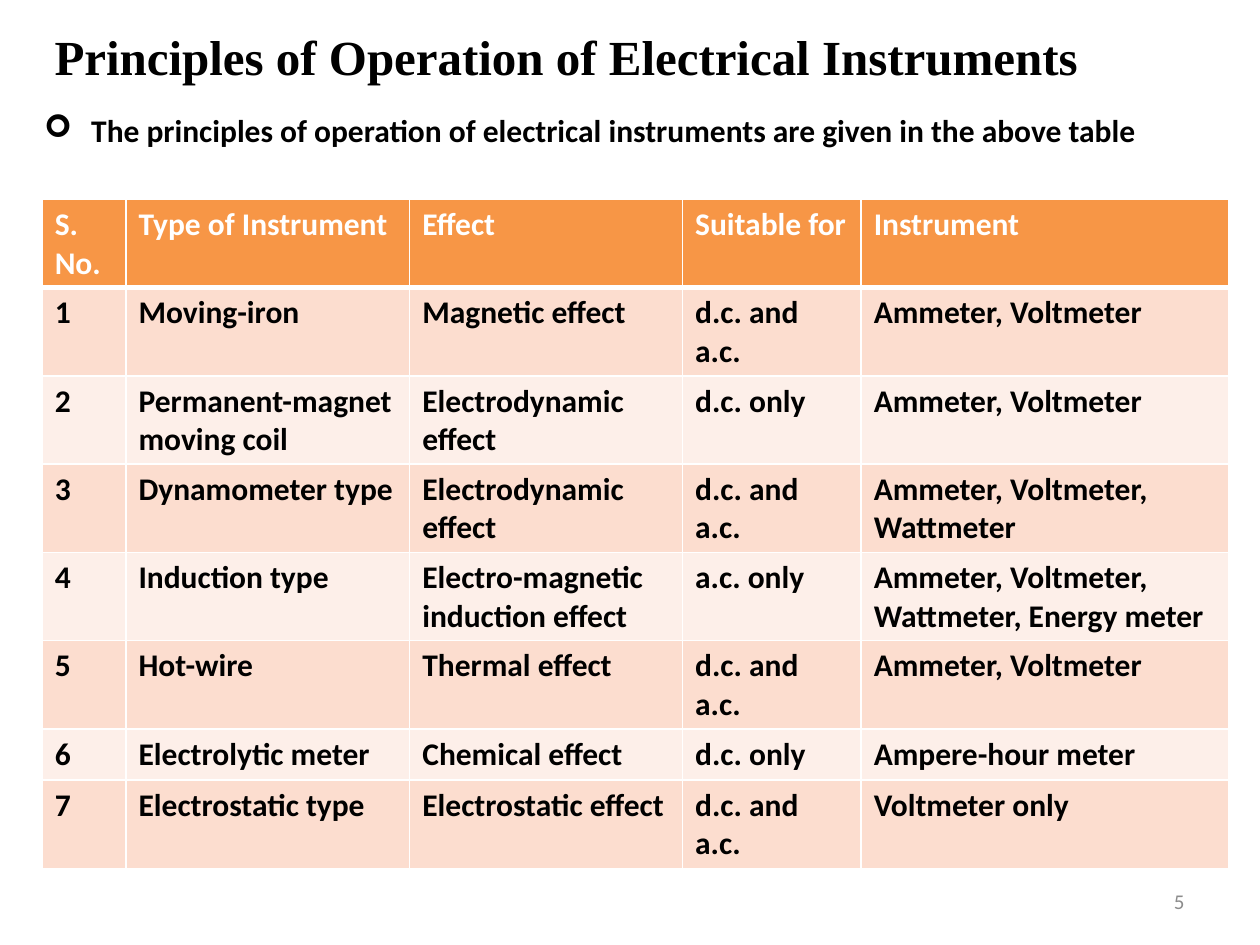
from lxml.etree import SubElement
from pptx import Presentation
from pptx.dml.color import RGBColor
from pptx.enum.text import MSO_ANCHOR, PP_ALIGN
from pptx.oxml.ns import qn
from pptx.util import Cm, Pt

THEME = {
    "title": {"name": "Times New Roman", "size": Pt(28), "bold": True, "color": "000000"},
    "body": {"name": "Calibri", "size": Pt(18), "bold": True, "color": "000000"},
    "header": {"name": "Calibri", "size": Pt(18), "bold": True, "color": "FFFFFF"},
    "number": {"name": "Calibri", "size": Pt(12), "bold": False, "color": "8C8C8C"},
    "header_fill": "F79646",
    "band_fills": ["FDEFE9", "FCDDCF"],
    "border": "FFFFFF",
}


def write(frame, text, style):
    """Put styled text in the first paragraph of a frame."""
    para = frame.paragraphs[0]
    span = para.add_run()
    span.text = text
    for name, value in THEME[style].items():
        if name == "color":
            span.font.color.rgb = RGBColor.from_string(value)
        else:
            setattr(span.font, name, value)
    return para


def set_border(cell, side, points):
    """Draw one solid border on a cell."""
    line = SubElement(cell._tc.get_or_add_tcPr(), qn(f"a:ln{side}"), w=str(Pt(points)))
    fill = SubElement(line, qn("a:solidFill"))
    SubElement(fill, qn("a:srgbClr"), val=THEME["border"])


deck = Presentation()
deck.slide_width, deck.slide_height = Cm(25.4), Cm(19.05)
page = deck.slides.add_slide(deck.slide_layouts[6])

# Title, statement and page number
texts = {
    "title": (0.85, 0.42, 23.7, 1.45, "Principles of Operation of Electrical Instruments"),
    "body": (0.64, 2.12, 24.76, 1.03,
             "The principles of operation of electrical instruments are given in the above table"),
    "number": (18.2, 17.66, 5.93, 1.01, "5"),
}
paras = {}
for style, (left, top, width, height, text) in texts.items():
    box = page.shapes.add_textbox(Cm(left), Cm(top), Cm(width), Cm(height))
    box.text_frame.word_wrap = True
    if style == "number":
        box.text_frame.vertical_anchor = MSO_ANCHOR.MIDDLE
    paras[style] = write(box.text_frame, text, style)
paras["number"].alignment = PP_ALIGN.RIGHT

# Arrow bullet with a hanging indent
properties = paras["body"]._p.get_or_add_pPr()
properties.set("marL", str(Cm(0.95)))
properties.set("indent", str(-Cm(0.95)))
SubElement(properties, qn("a:buFont"), typeface="Wingdings")
SubElement(properties, qn("a:buChar"), char="➢")

# Instrument table: rows grow to fit wrapped text
rows = [
    ("S. No.", "Type of Instrument", "Effect", "Suitable for", "Instrument"),
    ("1", "Moving-iron", "Magnetic effect", "d.c. and a.c.", "Ammeter, Voltmeter"),
    ("2", "Permanent-magnet moving coil", "Electrodynamic effect", "d.c. only",
     "Ammeter, Voltmeter"),
    ("3", "Dynamometer type", "Electrodynamic effect", "d.c. and a.c.",
     "Ammeter, Voltmeter, Wattmeter"),
    ("4", "Induction type", "Electro-magnetic induction effect", "a.c. only",
     "Ammeter, Voltmeter, Wattmeter, Energy meter"),
    ("5", "Hot-wire", "Thermal effect", "d.c. and a.c.", "Ammeter, Voltmeter"),
    ("6", "Electrolytic meter", "Chemical effect", "d.c. only", "Ampere-hour meter"),
    ("7", "Electrostatic type", "Electrostatic effect", "d.c. and a.c.", "Voltmeter only"),
]
column_widths = [1.69, 5.72, 5.5, 3.6, 7.41]
row_height = 1.03
table = page.shapes.add_table(
    len(rows), len(column_widths), Cm(0.85), Cm(4.02),
    Cm(sum(column_widths)), Cm(row_height * len(rows))).table
for column, width in zip(table.columns, column_widths):
    column.width = Cm(width)

for row_index, row in enumerate(rows):
    table.rows[row_index].height = Cm(row_height)
    is_header = row_index == 0
    fill = THEME["header_fill"] if is_header else THEME["band_fills"][row_index % 2]
    borders = {"L": 1, "R": 1, "T": 3 if row_index == 1 else 1, "B": 3 if is_header else 1}
    for column_index, text in enumerate(row):
        cell = table.cell(row_index, column_index)
        write(cell.text_frame, text, "header" if is_header else "body")
        for side, points in borders.items():
            set_border(cell, side, points)
        cell.fill.solid()
        cell.fill.fore_color.rgb = RGBColor.from_string(fill)

deck.save("out.pptx")
